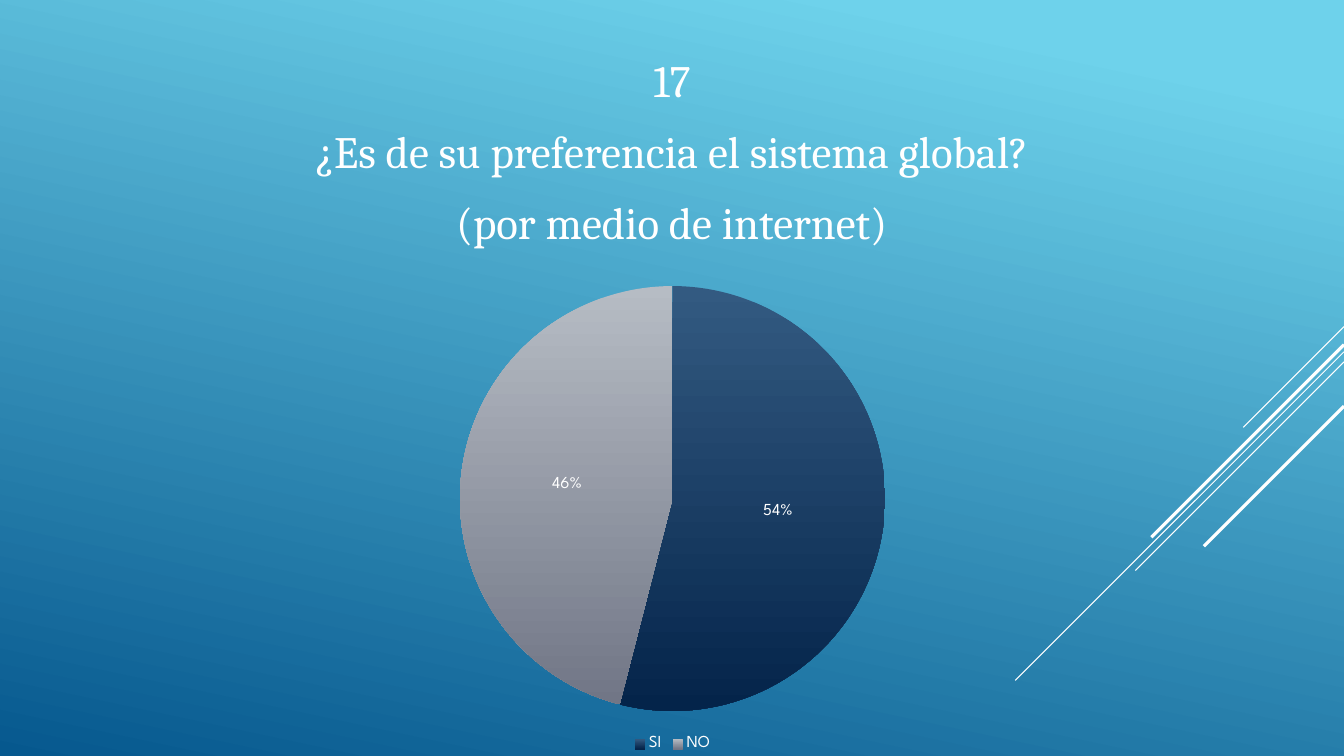
from lxml.etree import SubElement
from pptx import Presentation
from pptx.chart.data import CategoryChartData
from pptx.dml.color import RGBColor
from pptx.enum.chart import XL_CHART_TYPE, XL_LABEL_POSITION, XL_LEGEND_POSITION
from pptx.enum.shapes import MSO_CONNECTOR
from pptx.enum.text import MSO_ANCHOR, PP_ALIGN
from pptx.oxml.ns import qn
from pptx.util import Inches, Pt

WHITE = RGBColor(0xFF, 0xFF, 0xFF)
SKY = RGBColor(0x6E, 0xD2, 0xEB)
OCEAN = RGBColor(0x06, 0x58, 0x8E)
NAVY_LIGHT = RGBColor(0x33, 0x5A, 0x81)
NAVY_DARK = RGBColor(0x04, 0x24, 0x4A)
GREY_LIGHT = RGBColor(0xB6, 0xBC, 0xC4)
GREY_DARK = RGBColor(0x71, 0x76, 0x86)

TITLE_FONT = "Cambria"
CHART_FONT = "League Spartan"
SLIDE_WIDTH = 13.33

QUESTION = [
    "17",
    "¿Es de su preferencia el sistema global?",
    "(por medio de internet)",
]
# Diagonals at 45 degrees: height at the right edge, run, line width
DIAGONALS = [
    (3.24, 1.0, 0.75),
    (3.49, 3.26, 0.75),
    (3.59, 2.07, 0.75),
    (3.42, 1.91, 2.25),
    (4.03, 1.39, 2.25),
]
# Answer, percentage, top and bottom colour
ANSWERS = [
    ("SI", 54, NAVY_LIGHT, NAVY_DARK),
    ("NO", 46, GREY_LIGHT, GREY_DARK),
]


def set_gradient(fill, start, end, clockwise_angle, start_position=0):
    fill.gradient()
    fill.gradient_angle = 360 - clockwise_angle
    first, last = fill.gradient_stops
    first.color.rgb, first.position = start, start_position
    last.color.rgb, last.position = end, 1


def set_font(font, name, size):
    font.name = name
    font.size = Pt(size)
    font.color.rgb = WHITE


def add_diagonal(slide, top, run, width):
    line = slide.shapes.add_connector(
        MSO_CONNECTOR.STRAIGHT, Inches(SLIDE_WIDTH), Inches(top),
        Inches(SLIDE_WIDTH - run), Inches(top + run))
    line.line.color.rgb = WHITE
    line.line.width = Pt(width)
    SubElement(line._element.spPr, qn("a:effectLst"))


def add_question(slide):
    box = slide.shapes.add_textbox(
        Inches(1.08), Inches(0.29), Inches(11.17), Inches(2.41))
    frame = box.text_frame
    frame.word_wrap = True
    frame.vertical_anchor = MSO_ANCHOR.MIDDLE
    for index, text in enumerate(QUESTION):
        paragraph = frame.add_paragraph() if index else frame.paragraphs[0]
        paragraph.alignment = PP_ALIGN.CENTER
        paragraph.space_before = Pt(6.4)
        paragraph.space_after = Pt(6)
        run = paragraph.add_run()
        run.text = text
        set_font(run.font, TITLE_FONT, 32)


def add_answer_pie(slide):
    data = CategoryChartData()
    data.categories = [answer[0] for answer in ANSWERS]
    data.add_series("Series 1", [answer[1] for answer in ANSWERS])
    chart = slide.shapes.add_chart(
        XL_CHART_TYPE.PIE, Inches(3.15), Inches(2.7),
        Inches(7.04), Inches(4.8), data).chart
    set_font(chart.font, CHART_FONT, 10)
    chart.has_title = False

    # Legend
    chart.has_legend = True
    chart.legend.position = XL_LEGEND_POSITION.BOTTOM
    chart.legend.include_in_layout = False
    set_font(chart.legend.font, CHART_FONT, 12)

    # Slices
    plot = chart.plots[0]
    plot.vary_by_categories = True
    for index, (_, _, top_color, bottom_color) in enumerate(ANSWERS):
        slice_format = plot.series[0].points[index].format
        set_gradient(slice_format.fill, top_color, bottom_color, 90)
        slice_format.line.fill.background()

    # Percentages
    plot.has_data_labels = True
    labels = plot.data_labels
    labels.show_value = False
    labels.show_percentage = True
    labels.number_format = "0%"
    labels.number_format_is_linked = False
    labels.position = XL_LABEL_POSITION.CENTER
    set_font(labels.font, CHART_FONT, 12)


def main():
    presentation = Presentation()
    presentation.slide_width = Inches(SLIDE_WIDTH)
    presentation.slide_height = Inches(7.5)
    slide = presentation.slides.add_slide(presentation.slide_layouts[6])

    # Background and decoration
    set_gradient(slide.background.fill, SKY, OCEAN, 102, 0.1)
    for diagonal in DIAGONALS:
        add_diagonal(slide, *diagonal)

    # Content
    add_question(slide)
    add_answer_pie(slide)

    presentation.save("out.pptx")


main()
